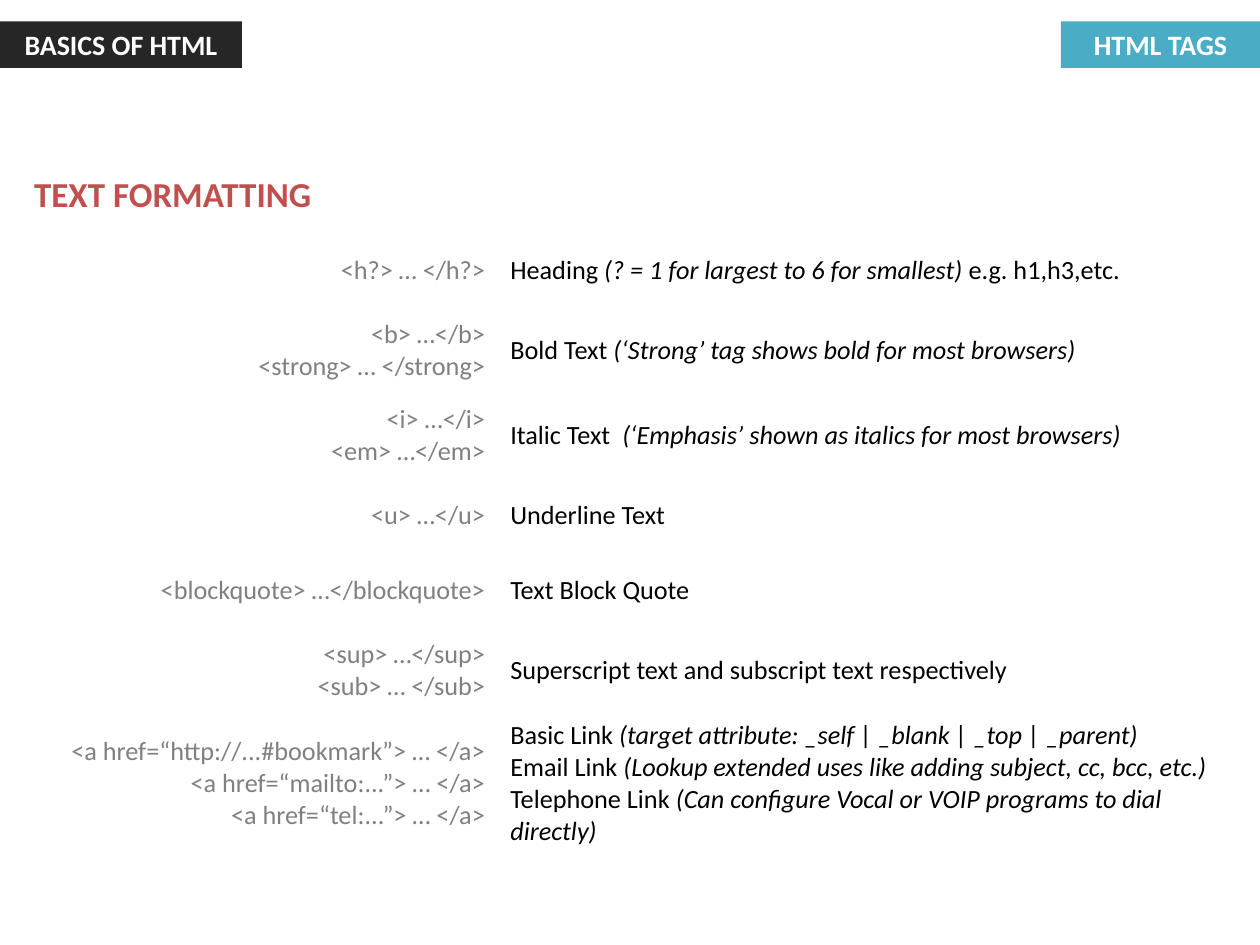
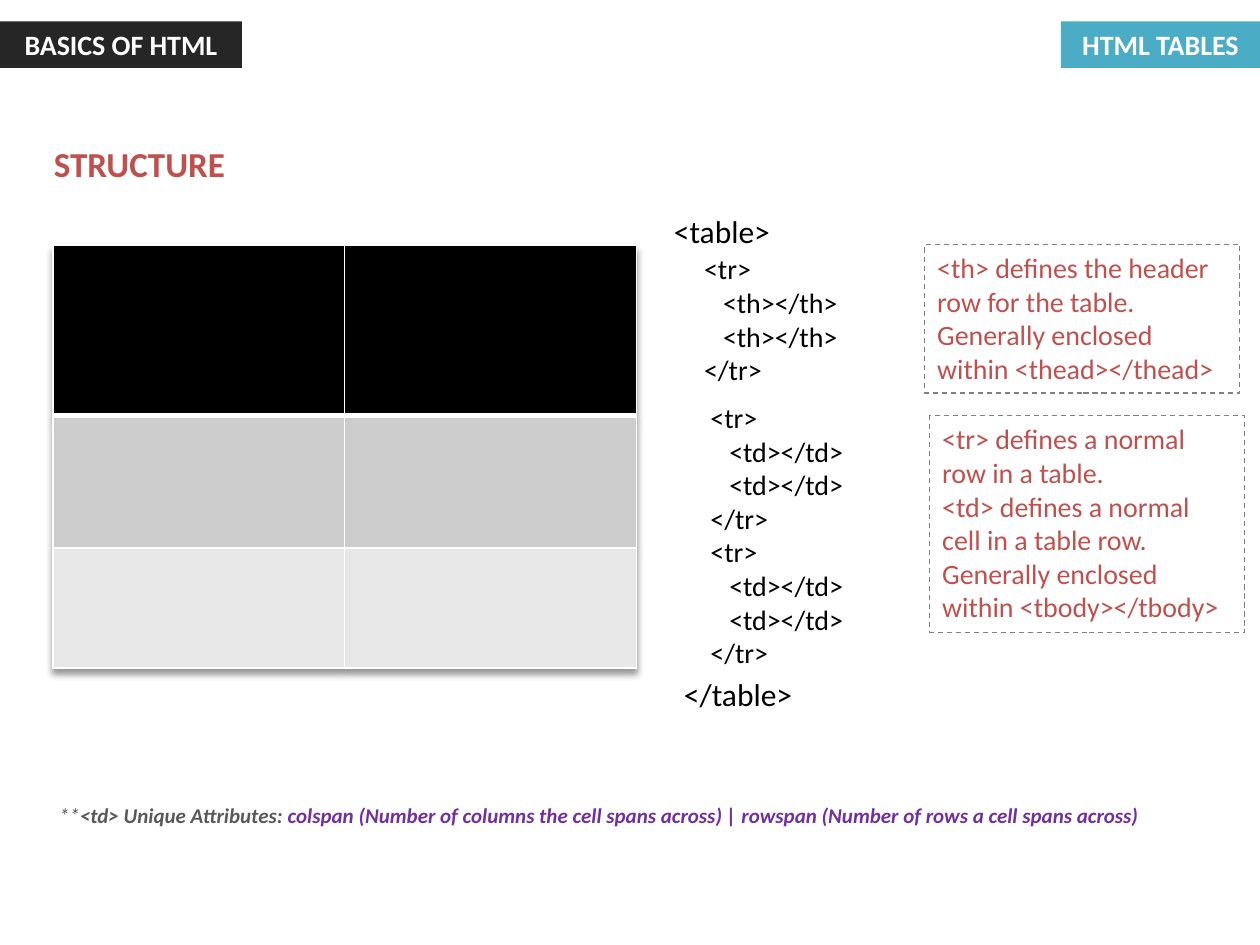
import itertools
from dataclasses import dataclass

import pptx
import pptx.dml.color
import pptx.enum.dml
import pptx.enum.shapes
import pptx.enum.text
import pptx.oxml
import pptx.oxml.ns
import pptx.util

Inches = pptx.util.Inches
Align = pptx.enum.text.PP_ALIGN
Anchor = pptx.enum.text.MSO_ANCHOR


@dataclass(frozen=True)
class Theme:
    font: str = "Calibri"
    dark: str = "262626"
    teal: str = "4BACC6"
    red: str = "C0504D"
    gray: str = "808080"
    note_gray: str = "595959"
    purple: str = "7030A0"
    black: str = "000000"
    white: str = "FFFFFF"
    title_size: int = 20
    outer_tag_size: int = 18
    body_size: int = 16
    tag_size: int = 15
    note_size: int = 12


THEME = Theme()

COURSE = "BASICS OF HTML"

# Formatting tags: row height, tag lines, description lines.
# A description alternates upright and italic pieces.
FORMATTING_TITLE = "TEXT FORMATTING"
FORMATTING_TAGS = [
    (0.6, ["<h?> … </h?>"],
     [("Heading ", "(? = 1 for largest to 6 for smallest)", " e.g. h1,h3,etc.")]),
    (0.67, ["<b> …</b>", "<strong> … </strong>"],
     [("Bold Text ", "(‘Strong’ tag shows bold for most browsers)")]),
    (0.67, ["<i> …</i>", "<em> …</em>"],
     [("Italic Text  ", "(‘Emphasis’ shown as italics for most browsers)")]),
    (0.6, ["<u> …</u>"], [("Underline Text",)]),
    (0.6, ["<blockquote> …</blockquote>"], [("Text Block Quote",)]),
    (0.67, ["<sup> …</sup>", "<sub> … </sub>"],
     [("Superscript text and subscript text respectively",)]),
    (1.08,
     ["<a href=“http://...#bookmark”> … </a>",
      "<a href=“mailto:...”> … </a>",
      "<a href=“tel:...”> … </a>"],
     [("Basic Link ", "(target attribute: _self | _blank | _top | _parent)"),
      ("Email Link ", "(Lookup extended uses like adding subject, cc, bcc, etc.)"),
      ("Telephone Link ",
       "(Can configure Vocal or VOIP programs to dial directly)")]),
]

# Sample table: row height and fill
SAMPLE_ROWS = [(1.35, THEME.black), (1.05, "CCCCCC"), (0.95, "E7E7E7")]
SAMPLE_COLUMNS = 2

HEADER_ROW_CODE = ["<tr>", "<th></th>", "<th></th>", "</tr>"]
BODY_ROW_CODE = ["<tr>", "<td></td>", "<td></td>", "</tr>"]
ROW_INDENTS = [0, 0.15, 0.15, 0]

# Code boxes: left, top, width, height, lines, size
CODE_BOXES = [
    (5.25, 1.63, 1.0, 0.4, ["<table>"], THEME.outer_tag_size),
    (5.49, 1.95, 1.43, 1.18, HEADER_ROW_CODE, THEME.body_size),
    (5.54, 3.13, 1.43, 2.26, BODY_ROW_CODE * 2, THEME.body_size),
    (5.33, 5.31, 1.15, 0.4, ["</table>"], THEME.outer_tag_size),
]

# Explanations: left, top, width, height, paragraphs
EXPLANATIONS = [
    (7.34, 1.94, 2.5, 1.18,
     ["<th> defines the header row for the table. "
      "Generally enclosed within <thead></thead>"]),
    (7.38, 3.3, 2.5, 1.72,
     ["<tr> defines a normal row in a table.",
      "<td> defines a normal cell in a table row.",
      "Generally enclosed within <tbody></tbody>"]),
]

ATTRIBUTE_NOTE = [
    ("**", {}),
    ("<td> Unique Attributes: ", {"bold": True}),
    ("colspan (Number of columns the cell spans across) | "
     "rowspan (Number of rows a cell spans across)",
     {"bold": True, "color": THEME.purple}),
]


def rgb(color):
    return pptx.dml.color.RGBColor.from_string(color)


def write_text(frame, paragraphs, align=Align.LEFT, anchor=Anchor.TOP,
               indents=(0,), **base):
    """Write paragraphs, each a string or a list of (text, format) spans."""
    frame.word_wrap = True
    frame.vertical_anchor = anchor
    for number, (content, indent) in enumerate(
            zip(paragraphs, itertools.cycle(indents))):
        para = frame.add_paragraph() if number else frame.paragraphs[0]
        para.alignment = align
        if indent:
            para._p.get_or_add_pPr().set("marL", str(Inches(indent)))
        spans = [(content, {})] if isinstance(content, str) else content
        for text, changes in spans:
            look = {**base, **changes}
            span = para.add_run()
            span.text = text
            span.font.name = THEME.font
            span.font.size = pptx.util.Pt(look["size"])
            span.font.color.rgb = rgb(look["color"])
            span.font.bold = look.get("bold", False)
            span.font.italic = look.get("italic", False)


def add_text(page, place, paragraphs, **style):
    box = page.shapes.add_textbox(*map(Inches, place))
    write_text(box.text_frame, paragraphs, **style)
    box.text_frame.auto_size = pptx.enum.text.MSO_AUTO_SIZE.SHAPE_TO_FIT_TEXT


def add_box(page, place, paragraphs, fill=None, dashed=None, **style):
    box = page.shapes.add_shape(
        pptx.enum.shapes.MSO_SHAPE.RECTANGLE, *map(Inches, place))
    box.shadow.inherit = False
    if fill:
        box.fill.solid()
        box.fill.fore_color.rgb = rgb(fill)
    else:
        box.fill.background()
    if dashed:
        box.line.color.rgb = rgb(dashed)
        box.line.width = pptx.util.Pt(0.75)
        box.line.dash_style = pptx.enum.dml.MSO_LINE.DASH
    else:
        box.line.fill.background()
    write_text(box.text_frame, paragraphs, **style)


def add_page(deck, topic):
    """Add a blank page with the course band and the topic band."""
    page = deck.slides.add_slide(deck.slide_layouts[6])
    for left, width, label, fill in [(0, 1.92, COURSE, THEME.dark),
                                     (8.42, 1.58, topic, THEME.teal)]:
        add_box(page, (left, 0.17, width, 0.37), [label], fill=fill,
                align=Align.CENTER, anchor=Anchor.MIDDLE,
                size=THEME.body_size, color=THEME.white, bold=True)
    return page


def add_plain_table(page, left, top, widths, heights):
    table = page.shapes.add_table(
        len(heights), len(widths), Inches(left), Inches(top),
        Inches(sum(widths)), Inches(sum(heights))).table
    table.first_row = table.horz_banding = False
    for column, width in zip(table.columns, widths):
        column.width = Inches(width)
    for row, height in zip(table.rows, heights):
        row.height = Inches(height)
    for cell in table.iter_cells():
        cell.fill.background()
    return table


def border_cell(cell, color, bottom=1):
    properties = cell._tc.get_or_add_tcPr()
    for place, side in enumerate("LRTB"):
        width = pptx.util.Pt(bottom if side == "B" else 1)
        properties.insert(place, pptx.oxml.parse_xml(
            f'<a:ln{side} {pptx.oxml.ns.nsdecls("a")} w="{width}"><a:solidFill>'
            f'<a:srgbClr val="{color}"/></a:solidFill></a:ln{side}>'))


def add_table_shadow(table):
    table._tbl.tblPr.insert(0, pptx.oxml.parse_xml(
        f'<a:effectLst {pptx.oxml.ns.nsdecls("a")}>'
        '<a:outerShdw blurRad="50800" dist="38100" dir="5400000" algn="t" '
        'rotWithShape="0"><a:srgbClr val="000000"><a:alpha val="40000"/>'
        '</a:srgbClr></a:outerShdw></a:effectLst>'))


def build_tags_page(deck):
    page = add_page(deck, "HTML TAGS")
    heights = [0.6] + [height for height, _, _ in FORMATTING_TAGS]
    table = add_plain_table(page, 0.17, 1.25, [3.78, 5.89], heights)
    write_text(table.cell(0, 0).text_frame, [FORMATTING_TITLE],
               size=THEME.title_size, color=THEME.red, bold=True)
    for row, (_, tags, descriptions) in enumerate(FORMATTING_TAGS, 1):
        write_text(table.cell(row, 0).text_frame, tags, align=Align.RIGHT,
                   size=THEME.tag_size, color=THEME.gray)
        spans = [[(text, {"italic": place % 2 == 1})
                  for place, text in enumerate(pieces)]
                 for pieces in descriptions]
        write_text(table.cell(row, 1).text_frame, spans,
                   size=THEME.tag_size, color=THEME.black)
    for cell in table.iter_cells():
        cell.vertical_anchor = Anchor.MIDDLE


def build_tables_page(deck):
    page = add_page(deck, "HTML TABLES")
    add_text(page, (0.33, 1.08, 1.67, 0.44), ["STRUCTURE"],
             size=THEME.title_size, color=THEME.red, bold=True)

    table = add_plain_table(page, 0.42, 1.95, [4.63 / SAMPLE_COLUMNS] * SAMPLE_COLUMNS,
                            [height for height, _ in SAMPLE_ROWS])
    add_table_shadow(table)
    for row, (_, fill) in enumerate(SAMPLE_ROWS):
        for column in range(SAMPLE_COLUMNS):
            cell = table.cell(row, column)
            cell.fill.solid()
            cell.fill.fore_color.rgb = rgb(fill)
            border_cell(cell, THEME.white, bottom=1 if row else 3)

    for *place, lines, size in CODE_BOXES:
        add_text(page, place, lines, indents=ROW_INDENTS,
                 size=size, color=THEME.black)
    for *place, paragraphs in EXPLANATIONS:
        add_box(page, place, paragraphs, dashed=THEME.gray,
                size=THEME.body_size, color=THEME.red)
    add_text(page, (0.37, 6.32, 9.05, 0.3), [ATTRIBUTE_NOTE],
             size=THEME.note_size, color=THEME.note_gray, italic=True)


def main():
    deck = pptx.Presentation()
    deck.slide_width = Inches(10)
    deck.slide_height = Inches(7.5)
    build_tags_page(deck)
    build_tables_page(deck)
    deck.save("out.pptx")


if __name__ == "__main__":
    main()
